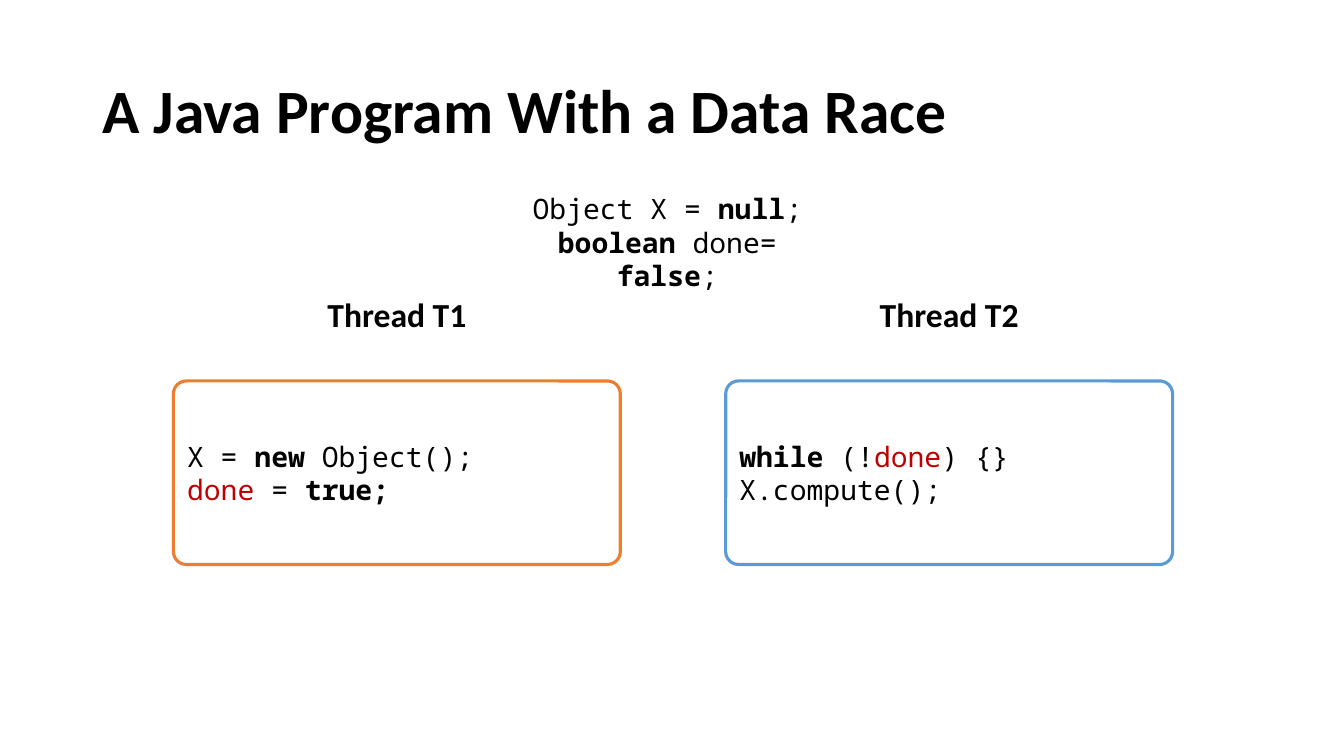
from pptx import Presentation
from pptx import util as u
from pptx.dml.color import RGBColor
from pptx.enum import shapes, text

COLUMNS, ROWS = 160, 90
HEADING_FONT, CODE_FONT = "Calibri", "Noto Sans Mono"
BLACK, WHITE, RACE_RED = "000000", "FFFFFF", "C00000"
PLAIN, BOLD, RACY = (False, BLACK), (True, BLACK), (False, RACE_RED)

presentation = Presentation()
presentation.slide_width, presentation.slide_height = u.Inches(13.33), u.Inches(7.5)

SHARED = [
    [("Object X = ", PLAIN), ("null", BOLD), (";", PLAIN)],
    [("boolean", BOLD), (" done= ", PLAIN), ("false", BOLD), (";", PLAIN)],
]
THREADS = [
    ("Thread T1", "ED7D31", [
        [("X = ", PLAIN), ("new", BOLD), (" Object();", PLAIN)],
        [("done", RACY), (" = ", PLAIN), ("true;", BOLD)],
    ]),
    ("Thread T2", "5B9BD5", [
        [("while ", BOLD), ("(!", PLAIN), ("done", RACY), (") {}", PLAIN)],
        [("X.compute();", PLAIN)],
    ]),
]


def color(value):
    """Turn a hex string into a colour."""
    return RGBColor.from_string(value)


def place(box):
    """Convert a box in grid columns and rows to slide lengths."""
    left, top, width, height = box
    column = presentation.slide_width / COLUMNS
    row = presentation.slide_height / ROWS
    return [u.Emu(round(length)) for length in
            (left * column, top * row, width * column, height * row)]


def write(shape, lines, font, size, align, anchor):
    """Write lines of styled runs into a shape."""
    frame = shape.text_frame
    frame.word_wrap = True
    frame.auto_size = text.MSO_AUTO_SIZE.NONE
    frame.vertical_anchor = anchor
    for index, line in enumerate(lines):
        paragraph = frame.paragraphs[0] if index == 0 else frame.add_paragraph()
        paragraph.alignment = align
        for words, (bold, ink) in line:
            run = paragraph.add_run()
            run.text = words
            run.font.name, run.font.size, run.font.bold = font, u.Pt(size), bold
            run.font.color.rgb = color(ink)


def add_title(slide, box, words):
    """Fill and move the title placeholder."""
    title = slide.shapes.title
    title.left, title.top, title.width, title.height = place(box)
    write(title, [[(words, BOLD)]], HEADING_FONT, 44,
          text.PP_ALIGN.LEFT, text.MSO_ANCHOR.MIDDLE)
    title.text_frame.paragraphs[0].line_spacing = 0.9


def add_centred_text(slide, box, lines, font, size):
    """Add a text box with centred lines."""
    write(slide.shapes.add_textbox(*place(box)), lines, font, size,
          text.PP_ALIGN.CENTER, text.MSO_ANCHOR.TOP)


def add_thread(slide, box, name, outline, code):
    """Add a thread's heading with its code panel at the foot of the box."""
    left, top, width, height = box
    heading_height, panel_offset = 6, 11
    add_centred_text(slide, (left, top, width, heading_height),
                     [[(name, BOLD)]], HEADING_FONT, 24)
    panel = slide.shapes.add_shape(
        shapes.MSO_SHAPE.ROUNDED_RECTANGLE,
        *place((left, top + panel_offset, width, height - panel_offset)))
    panel.adjustments[0] = 0.07
    panel.shadow.inherit = False
    panel.fill.solid()
    panel.fill.fore_color.rgb = color(WHITE)
    panel.line.color.rgb = color(outline)
    panel.line.width = u.Pt(2.25)
    write(panel, code, CODE_FONT, 20, text.PP_ALIGN.LEFT, text.MSO_ANCHOR.MIDDLE)


def build_slide():
    """Lay out the title, shared variables and both threads."""
    slide = presentation.slides.add_slide(presentation.slide_layouts[5])
    add_title(slide, (11, 4.8, 138, 17.4), "A Java Program With a Data Race")
    add_centred_text(slide, (58.8, 22.2, 41.3, 9.2), SHARED, CODE_FONT, 20)
    first_left, pitch = 20.65, 65.75
    for index, (name, outline, code) in enumerate(THREADS):
        add_thread(slide, (first_left + index * pitch, 34.35, 53.2, 32.85),
                   name, outline, code)


build_slide()
presentation.save("out.pptx")
